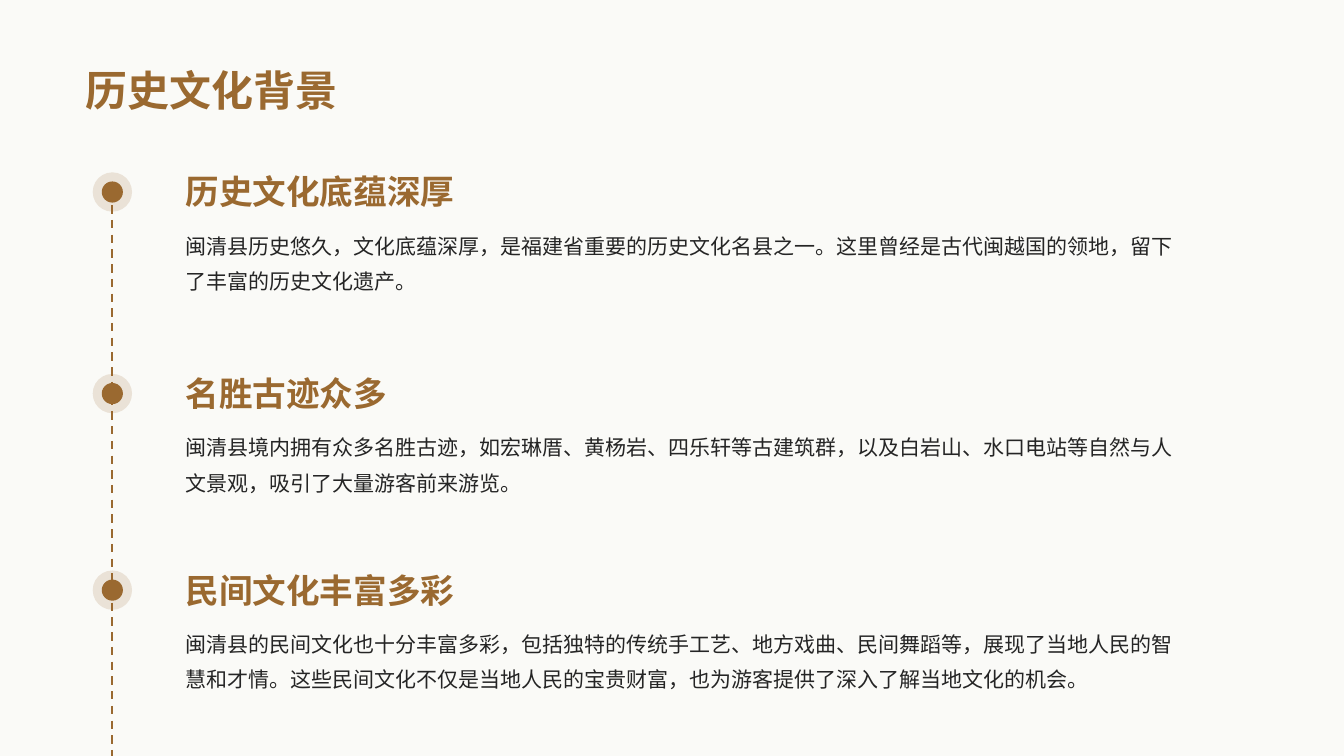
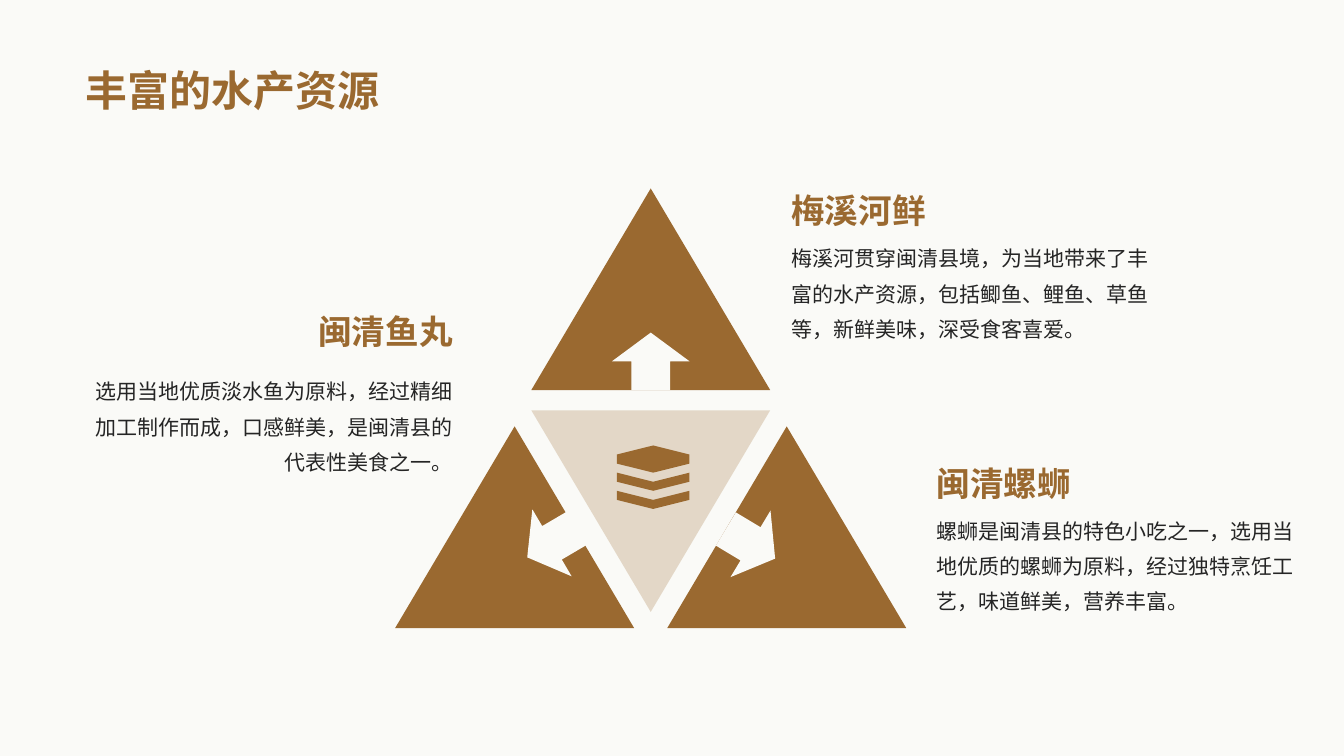
from lxml.etree import SubElement
from pptx import Presentation
from pptx.dml.color import RGBColor
from pptx.enum.dml import MSO_LINE
from pptx.enum.shapes import MSO_CONNECTOR, MSO_SHAPE
from pptx.enum.text import MSO_ANCHOR, MSO_AUTO_SIZE, PP_ALIGN
from pptx.oxml.ns import qn
from pptx.util import Inches, Pt

FONT = "Noto Sans CJK SC"
BROWN, INK, PAPER = "9A6930", "252525", "FAFAF7"
rgb = RGBColor.from_string

TITLE = dict(size=30, bold=True, color=BROWN, anchor=MSO_ANCHOR.MIDDLE, spacing=1.4)
HEADING = dict(size=24, bold=True, color=BROWN, anchor=MSO_ANCHOR.BOTTOM, spacing=1.2)
BODY = dict(size=15, bold=False, color=INK, anchor=MSO_ANCHOR.TOP, spacing=1.4)
FLUSH = (0, 0, 0, 0)
PADDED = (0.14, 0.14, 0.06, 0.14)

prs = Presentation()
prs.slide_width, prs.slide_height = Inches(13.333), Inches(7.5)
# All places are percentages of the slide's width and height.
COL, ROW = prs.slide_width / 100, prs.slide_height / 100
UNITS = (COL, ROW, COL, ROW)

background = prs.slide_master.background.fill
background.solid()
background.fore_color.rgb = rgb(PAPER)


def write(sp, box, text, style, inset=PADDED, align=PP_ALIGN.LEFT):
    """Place a text box or placeholder and give it one styled paragraph."""
    for name, share, unit in zip(("left", "top", "width", "height"), box, UNITS):
        setattr(sp, name, int(share * unit))
    tf = sp.text_frame
    frame = dict(word_wrap=True, auto_size=MSO_AUTO_SIZE.NONE,
                 vertical_anchor=style["anchor"])
    sides = ("margin_left", "margin_top", "margin_right", "margin_bottom")
    frame.update(zip(sides, map(Inches, inset)))
    for name, value in frame.items():
        setattr(tf, name, value)
    p = tf.paragraphs[0]
    p.alignment, p.line_spacing = align, style["spacing"]
    r = p.add_run()
    r.text = text
    for name, value in dict(name=FONT, size=Pt(style["size"]), bold=style["bold"]).items():
        setattr(r.font, name, value)
    r.font.color.rgb = rgb(style["color"])
    SubElement(r._r.get_or_add_rPr(), qn("a:ea"), typeface=FONT)


def paint(sp, color, opacity=100):
    """Fill a shape flat, without outline or shadow."""
    sp.shadow.inherit = False
    sp.fill.solid()
    sp.fill.fore_color.rgb = rgb(color)
    sp.line.fill.background()
    if opacity < 100:
        tone = sp._element.spPr.find(".//" + qn("a:srgbClr"))
        SubElement(tone, qn("a:alpha"), val=str(opacity * 1000))


slides = []
for title in ("历史文化背景", "丰富的水产资源"):
    s = prs.slides.add_slide(prs.slide_layouts[5])
    write(s.shapes.title, (5.33, 3.87, 90.75, 13.33), title, TITLE)
    slides.append(s)
history, fish = slides

# Timeline
AXIS = 8.36
events = [
    (19.87, "历史文化底蕴深厚",
     "闽清县历史悠久，文化底蕴深厚，是福建省重要的历史文化名县之一。"
     "这里曾经是古代闽越国的领地，留下了丰富的历史文化遗产。"),
    (46.53, "名胜古迹众多",
     "闽清县境内拥有众多名胜古迹，如宏琳厝、黄杨岩、四乐轩等古建筑群，"
     "以及白岩山、水口电站等自然与人文景观，吸引了大量游客前来游览。"),
    (72.53, "民间文化丰富多彩",
     "闽清县的民间文化也十分丰富多彩，包括独特的传统手工艺、地方戏曲、民间舞蹈等，"
     "展现了当地人民的智慧和才情。这些民间文化不仅是当地人民的宝贵财富，"
     "也为游客提供了深入了解当地文化的机会。"),
]
for top, heading, body in events:
    for text, style, offset, height in ((heading, HEADING, 0, 8.13), (body, BODY, 9.67, 11.2)):
        write(history.shapes.add_textbox(0, 0, 0, 0),
              (13.8, top + offset, 73.6, height), text, style, FLUSH)
    for diameter, opacity in ((2.8, 100), (5.2, 16)):
        d = int(diameter * ROW)
        x, y = int(AXIS * COL - d / 2), int((top + 5.53) * ROW - d / 2)
        paint(history.shapes.add_shape(MSO_SHAPE.OVAL, x, y, d, d), BROWN, opacity)

x = int(AXIS * COL)
axis = history.shapes.add_connector(
    MSO_CONNECTOR.STRAIGHT, x, int(25.2 * ROW), x, prs.slide_height)
axis.line.color.rgb = rgb(BROWN)
axis.line.width, axis.line.dash_style = Pt(1.5), MSO_LINE.DASH
SubElement(axis._element.spPr, qn("a:effectLst"))

# Triangle diagram: kind, box, rotation, colour, opacity
SIDE, ARROW = (17.78, 26.67), (5.78, 7.6)
parts = [
    (MSO_SHAPE.FLOWCHART_MERGE, (39.53, 54.27, *SIDE), 0, BROWN, 24),
    (MSO_SHAPE.ISOSCELES_TRIANGLE, (49.65, 56.4, *SIDE), 0, BROWN, 100),
    (MSO_SHAPE.ISOSCELES_TRIANGLE, (29.4, 56.4, *SIDE), 0, BROWN, 100),
    (MSO_SHAPE.ISOSCELES_TRIANGLE, (39.53, 24.93, *SIDE), 0, BROWN, 100),
    (MSO_SHAPE.UP_ARROW, (45.53, 44, *ARROW), 0, PAPER, 100),
    (MSO_SHAPE.UP_ARROW, (52.95, 68.13, *ARROW), 121, PAPER, 100),
    (MSO_SHAPE.UP_ARROW, (38.18, 68, *ARROW), 239.6, PAPER, 100),
]
for kind, box, rotation, color, opacity in parts:
    sp = fish.shapes.add_shape(kind, *(int(v * u) for v, u in zip(box, UNITS)))
    sp.rotation = rotation
    paint(sp, color, opacity)

dishes = [
    (57.83, 22, 29.33, PP_ALIGN.LEFT, "梅溪河鲜",
     "梅溪河贯穿闽清县境，为当地带来了丰富的水产资源，包括鲫鱼、鲤鱼、草鱼等，新鲜美味，深受食客喜爱。"),
    (68.63, 58.13, 65.33, PP_ALIGN.LEFT, "闽清螺蛳",
     "螺蛳是闽清县的特色小吃之一，选用当地优质的螺蛳为原料，经过独特烹饪工艺，味道鲜美，营养丰富。"),
    (5.55, 38, 46.93, PP_ALIGN.RIGHT, "闽清鱼丸",
     "选用当地优质淡水鱼为原料，经过精细加工制作而成，口感鲜美，是闽清县的代表性美食之一。"),
]
for left, heading_top, body_top, align, heading, body in dishes:
    for text, style, top, height in ((heading, HEADING, heading_top, 10.27),
                                     (body, BODY, body_top, 17.73)):
        write(fish.shapes.add_textbox(0, 0, 0, 0),
              (left, top, 28.58, height), text, style, align=align)

# Stacked layers icon: a hexagon above two chevrons
LEFT, MIDDLE, RIGHT, BEND = 45.9, 48.6, 51.3, 1.2
icon = None
for layer, dip in enumerate((-BEND, BEND, BEND)):
    y = 60.13 + 2 * BEND * layer
    outline = [(LEFT, y), (MIDDLE, y + dip), (RIGHT, y),
               (RIGHT, y + BEND), (MIDDLE, y + 2 * BEND), (LEFT, y + BEND)]
    start, *rest = [(int(px * COL), int(py * ROW)) for px, py in outline]
    if icon is None:
        icon = fish.shapes.build_freeform(*start)
    else:
        icon.move_to(*start)
    icon.add_line_segments(rest, close=True)
paint(icon.convert_to_shape(), BROWN)

prs.save("out.pptx")
